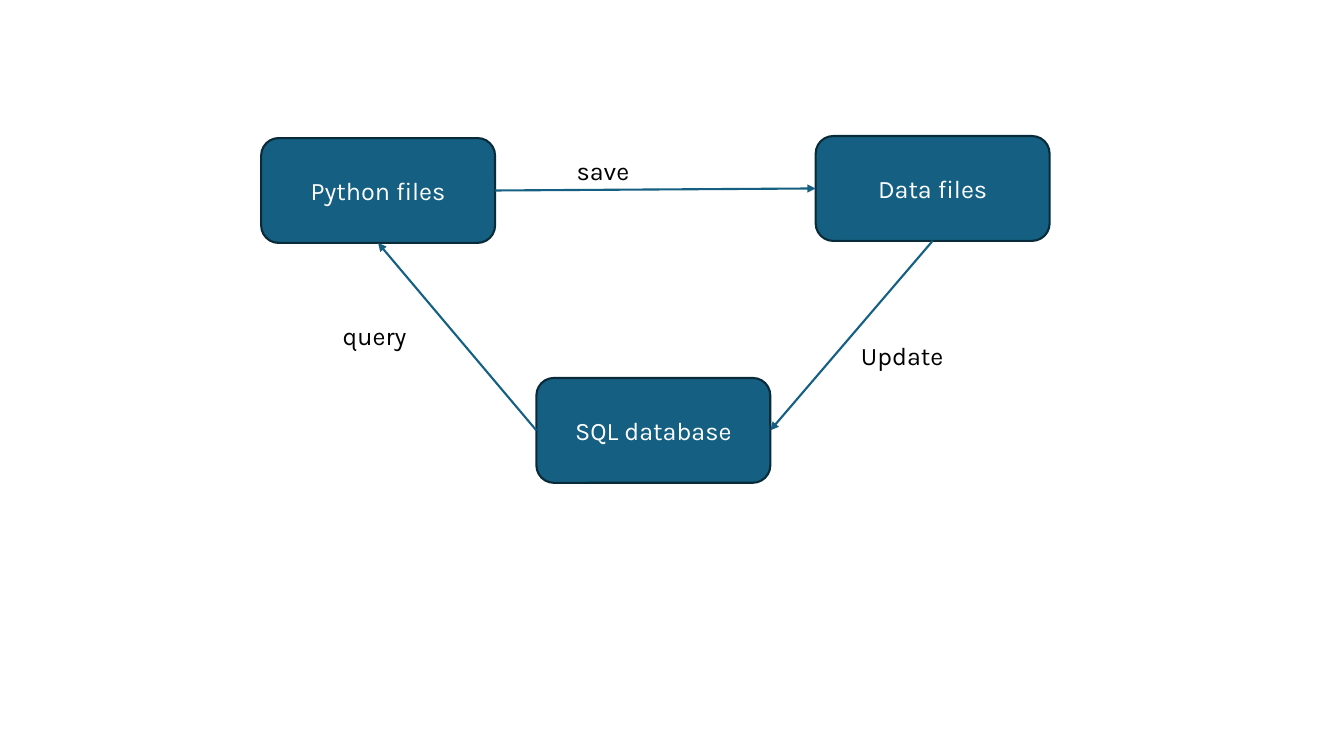
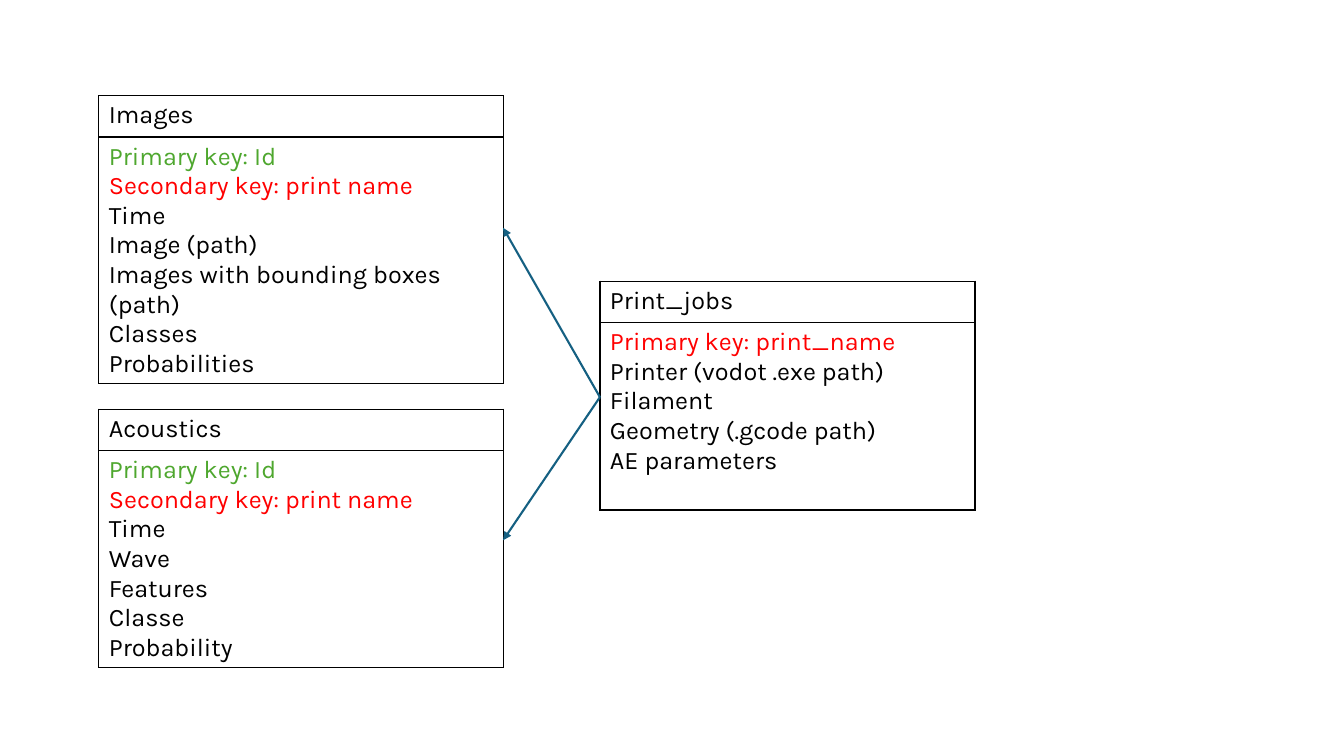
from pptx import Presentation
from pptx.dml.color import RGBColor
from pptx.enum.shapes import MSO_CONNECTOR as Link, MSO_SHAPE as Preset
from pptx.enum.text import MSO_ANCHOR as Anchor, MSO_AUTO_SIZE as AutoSize, PP_ALIGN as Align
from pptx.oxml import parse_xml
from pptx.oxml.ns import nsdecls, qn
from pptx.util import Pt

PX = 9144
TEAL = RGBColor(0x15, 0x60, 0x82)
NAVY = RGBColor(0x09, 0x2A, 0x39)
GREEN = RGBColor(0x4E, 0xA7, 0x2E)
RED = RGBColor(0xFF, 0x00, 0x00)
BLACK = RGBColor(0x00, 0x00, 0x00)
WHITE = RGBColor(0xFF, 0xFF, 0xFF)
TEXT_FORMAT = {"name": "Karla", "size": Pt(18)}
LEFT, BOTTOM, RIGHT = 1, 2, 3


def write(frame, lines):
    for index, (text, color) in enumerate(lines):
        para = frame.paragraphs[0] if index == 0 else frame.add_paragraph()
        span = para.add_run()
        span.text = text
        for key, value in TEXT_FORMAT.items():
            setattr(span.font, key, value)
        span.font.color.rgb = color


def add_arrow(page, x1, y1, x2, y2):
    arrow = page.shapes.add_connector(Link.STRAIGHT, x1 * PX, y1 * PX, x2 * PX, y2 * PX)
    arrow.line.color.rgb = TEAL
    arrow.line.width = Pt(1.5)
    properties = arrow._element.spPr
    properties.find(qn("a:ln")).append(parse_xml(f'<a:tailEnd {nsdecls("a")} type="triangle"/>'))
    properties.append(parse_xml(f'<a:effectLst {nsdecls("a")}/>'))
    return arrow


deck = Presentation()
deck.slide_width, deck.slide_height = 1333 * PX, 750 * PX
blank = deck.slide_layouts[6]

page = deck.slides.add_slide(blank)
boxes = {}
for name, left, top in [
    ("Python files", 259, 137),
    ("SQL database", 532, 375),
    ("Data files", 809, 135),
]:
    box = page.shapes.add_shape(Preset.ROUNDED_RECTANGLE, left * PX, top * PX, 232 * PX, 104 * PX)
    box.shadow.inherit = False
    box.fill.solid()
    box.fill.fore_color.rgb = TEAL
    box.line.color.rgb = NAVY
    box.line.width = Pt(1.5)
    write(box.text_frame, [(name, WHITE)])
    box.text_frame.vertical_anchor = Anchor.MIDDLE
    box.text_frame.paragraphs[0].alignment = Align.CENTER
    boxes[name] = box

for source, source_side, target, target_side in [
    ("Python files", RIGHT, "Data files", LEFT),
    ("Data files", BOTTOM, "SQL database", RIGHT),
    ("SQL database", LEFT, "Python files", BOTTOM),
]:
    arrow = add_arrow(page, 0, 0, 0, 0)
    arrow.begin_connect(boxes[source], source_side)
    arrow.end_connect(boxes[target], target_side)

for text, left, top in [("save", 562, 149), ("query", 330, 313), ("Update", 844, 333)]:
    label = page.shapes.add_textbox(left * PX, top * PX, 202 * PX, 40 * PX)
    label.text_frame.word_wrap = True
    label.text_frame.auto_size = AutoSize.SHAPE_TO_FIT_TEXT
    write(label.text_frame, [(text, BLACK)])

page = deck.slides.add_slide(blank)
sensor_keys = [("Primary key: Id", GREEN), ("Secondary key: print name", RED)]
HEADER = 41
for name, left, top, width, body, keys, fields in [
    ("Print_jobs", 595, 279, 372, 186, [("Primary key: print_name", RED)],
     ["Printer (vodot .exe path)", "Filament", "Geometry (.gcode path)", "AE parameters"]),
    ("Images", 98, 95, 401, 244, sensor_keys,
     ["Time", "Image (path)", "Images with bounding boxes (path)", "Classes", "Probabilities"]),
    ("Acoustics", 98, 406, 401, 215, sensor_keys,
     ["Time", "Wave", "Features", "Classe", "Probability"]),
]:
    frame = page.shapes.add_table(2, 1, left * PX, top * PX, width * PX, (HEADER + body) * PX)
    table = frame.table
    table.first_row = table.horz_banding = False
    contents = [[(name, BLACK)], keys + [(field, BLACK) for field in fields]]
    for row, height, lines in zip(table.rows, (HEADER, body), contents):
        row.height = height * PX
        cell = row.cells[0]
        write(cell.text_frame, lines)
        cell_properties = cell._tc.get_or_add_tcPr()
        for side in "LRTB":
            cell_properties.append(parse_xml(
                f'<a:ln{side} {nsdecls("a")} w="{Pt(1)}"><a:solidFill>'
                f'<a:srgbClr val="{BLACK}"/></a:solidFill></a:ln{side}>'))
        cell.fill.solid()
        cell.fill.fore_color.rgb = WHITE

for target_y in (226, 536):
    add_arrow(page, 595, 394, 499, target_y)

deck.save("out.pptx")
